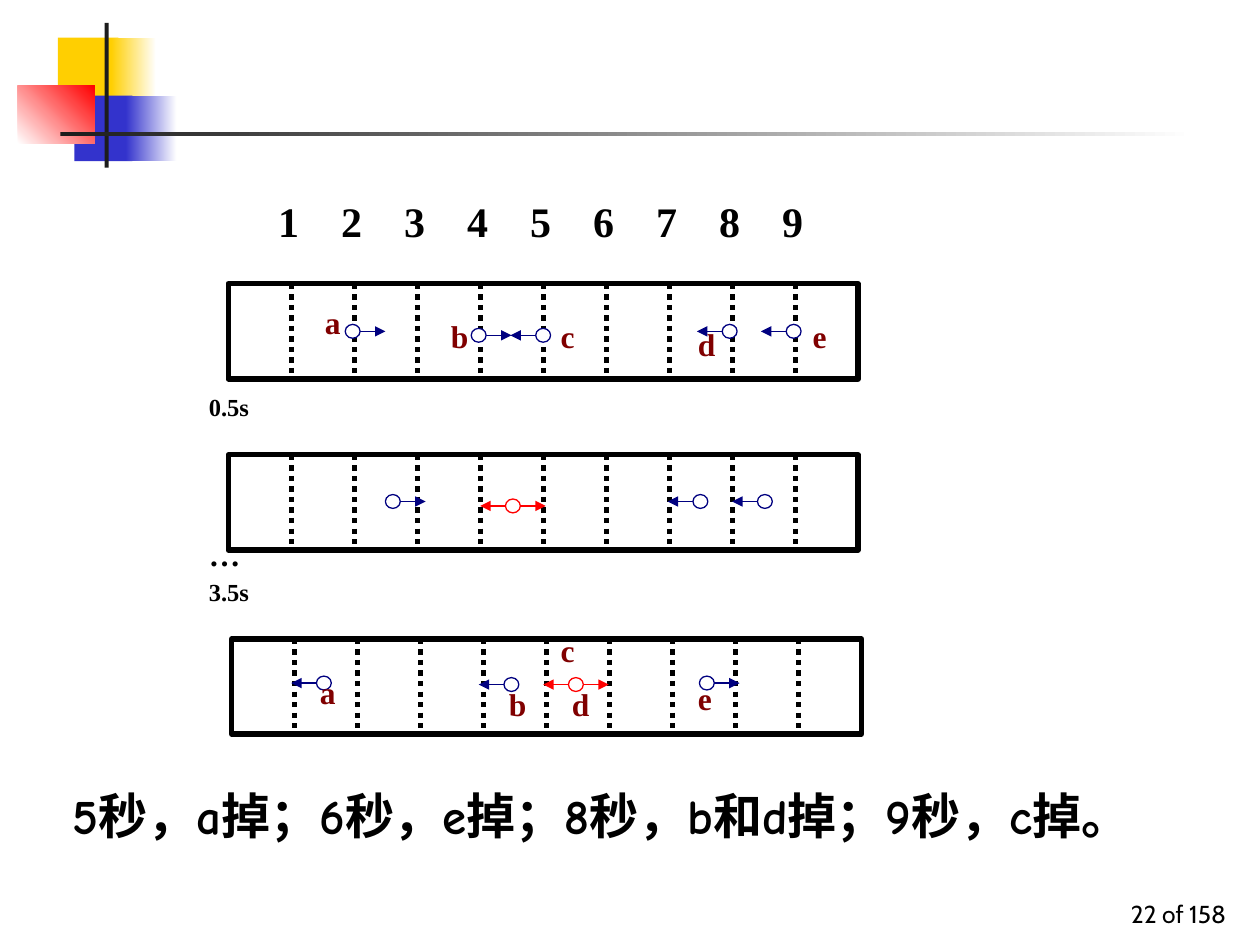
from pptx import Presentation
from pptx.util import Cm, Pt
from pptx.dml.color import RGBColor
from pptx.enum.dml import MSO_LINE
from pptx.enum.shapes import MSO_SHAPE, MSO_CONNECTOR
from pptx.enum.text import PP_ALIGN, MSO_ANCHOR, MSO_AUTO_SIZE
from pptx.oxml.ns import qn
from lxml.etree import SubElement

SERIF = "Times New Roman"
BLACK, WHITE, DARK = "000000", "FFFFFF", "1C1C1C"
NAVY, RED, MAROON = "000080", "FF0000", "800000"
YELLOW, BLUE = "FFCF01", "3333CC"
STEP = 1.27    # one centimetre mark on the pole
HIGH = 1.92    # height of a pole
REACH = 0.66   # from an ant to its arrow tip


def paint(color):
    return RGBColor.from_string(color)


def add_form(slide, kind, box, fill, line=None, width=0.75):
    form = slide.shapes.add_shape(kind, *map(Cm, box))
    form.shadow.inherit = False
    form.fill.solid()
    form.fill.fore_color.rgb = paint(fill)
    if line:
        form.line.color.rgb = paint(line)
        form.line.width = Pt(width)
    else:
        form.line.fill.background()
    return form


def add_fade(slide, box, start, end, angle=0):
    form = add_form(slide, MSO_SHAPE.RECTANGLE, box, start)
    form.fill.gradient()
    form.fill.gradient_angle = angle
    for stop, color, place in zip(form.fill.gradient_stops, (start, end), (0, 1)):
        stop.color.rgb = paint(color)
        stop.position = place


def add_line(slide, start, end, color, width, dash=None, arrow=False):
    line = slide.shapes.add_connector(MSO_CONNECTOR.STRAIGHT, *map(Cm, start + end))
    SubElement(line._element.spPr, qn("a:effectLst"))
    line.line.color.rgb = paint(color)
    line.line.width = Pt(width)
    if dash:
        line.line.dash_style = dash
    if arrow:
        SubElement(line.line._get_or_add_ln(), qn("a:tailEnd"), type="triangle")


def add_text(slide, box, text, size, color=BLACK, font=SERIF, bold=True,
             align=PP_ALIGN.LEFT, tabs=()):
    label = slide.shapes.add_textbox(*map(Cm, box))
    frame = label.text_frame
    frame.word_wrap = True
    para = frame.paragraphs[0]
    para.alignment = align
    if tabs:
        stops = SubElement(para._p.get_or_add_pPr(), qn("a:tabLst"))
        for tab in tabs:
            SubElement(stops, qn("a:tab"), pos=str(Cm(tab)), algn="l")
    run = para.add_run()
    run.text = text
    run.font.name = font
    run.font.size = Pt(size)
    run.font.bold = bold
    run.font.color.rgb = paint(color)
    return frame


def add_pole(slide, left, top):
    add_form(slide, MSO_SHAPE.RECTANGLE, (left, top, 10 * STEP, HIGH), WHITE, BLACK, 3)
    for mark in range(1, 10):
        x = left + mark * STEP
        add_line(slide, (x, top), (x, top + HIGH), BLACK, 3, MSO_LINE.ROUND_DOT)


def add_ant(slide, x, y, *ways):
    """Draw an ant heading left (-1) or right (1); a meeting pair is red."""
    color = RED if len(ways) > 1 else NAVY
    for way in ways:
        add_line(slide, (x, y), (x + way * REACH, y), color, 0.75, arrow=True)
    add_form(slide, MSO_SHAPE.OVAL, (x - 0.15, y - 0.14, 0.3, 0.28), WHITE, color)


def add_decor(slide):
    rect = MSO_SHAPE.RECTANGLE
    add_form(slide, rect, (1.17, 0.76, 1.22, 1.32), YELLOW)
    add_fade(slide, (2.24, 0.76, 0.91, 1.32), YELLOW, WHITE)
    add_form(slide, rect, (1.5, 1.93, 1.17, 1.32), BLUE)
    add_fade(slide, (2.54, 1.93, 1.02, 1.32), BLUE, WHITE)
    add_fade(slide, (0.36, 1.73, 1.55, 1.17), WHITE, RED, 45)
    add_form(slide, rect, (2.11, 0.46, 0.08, 2.92), DARK)
    add_fade(slide, (1.22, 2.67, 22.86, 0.08), DARK, WHITE)


def main():
    deck = Presentation()
    deck.slide_width, deck.slide_height = Cm(25.4), Cm(19.05)
    slide = deck.slides.add_slide(deck.slide_layouts[6])
    add_decor(slide)

    # Page number and answer
    page = add_text(slide, (19.69, 17.58, 5.28, 1.27), "22 of 158", 14,
                    font="Cabin", bold=False, align=PP_ALIGN.RIGHT)
    page.vertical_anchor = MSO_ANCHOR.BOTTOM
    answer = add_text(slide, (1.22, 15.72, 23.29, 2.64),
                      "5秒，a掉；6秒，e掉；8秒，b和d掉；9秒，c掉。", 28, font="Comic Neue")
    answer.auto_size = MSO_AUTO_SIZE.SHAPE_TO_FIT_TEXT

    # Scale above the poles
    add_text(slide, (5.36, 3.81, 16.94, 1.09), "\t".join("123456789"), 24,
             tabs=[STEP * n for n in range(1, 9)])

    # Poles at the three moments
    for left, top in ((4.6, 5.72), (4.6, 9.17), (4.67, 12.88)):
        add_pole(slide, left, top)
    for top, text, size in ((7.77, "0.5s", 14), (10.67, "…", 18), (11.51, "3.5s", 14)):
        add_text(slide, (3.96, top, 2.21, 1.09), text, size)

    # Ants: centre, then headings
    ants = (
        (7.11, 6.68, 1), (9.65, 6.76, 1), (10.95, 6.76, -1),
        (14.71, 6.68, -1), (16, 6.68, -1),
        (7.92, 10.11, 1), (10.34, 10.2, -1, 1), (14.12, 10.11, -1), (15.42, 10.11, -1),
        (6.53, 13.77, -1), (14.25, 13.77, 1), (10.31, 13.8, -1), (11.61, 13.8, -1, 1),
    )
    for ant in ants:
        add_ant(slide, *ant)

    # Ant names
    names = (
        ("a", 6.3, 5.99), ("b", 8.84, 6.27), ("c", 11.05, 6.27),
        ("d", 13.82, 6.43), ("e", 16.13, 6.27),
        ("a", 6.2, 13.44), ("b", 10.01, 13.69), ("c", 11.05, 12.6),
        ("d", 11.28, 13.69), ("e", 13.82, 13.56),
    )
    for name, left, top in names:
        add_text(slide, (left, top, 1.17, 1.09), name, 18, MAROON)

    deck.save("out.pptx")


if __name__ == "__main__":
    main()
